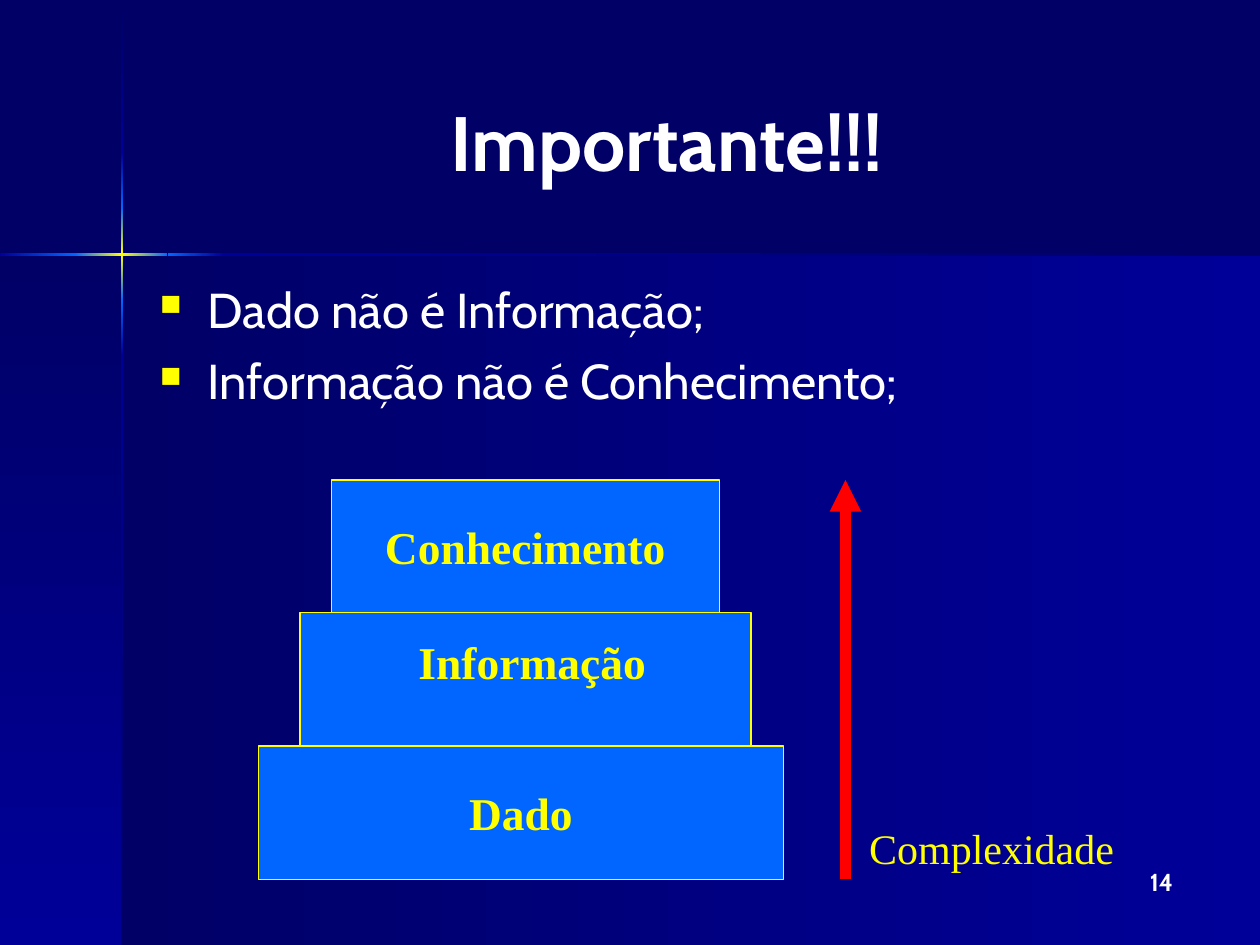
from copy import deepcopy
from dataclasses import dataclass

from lxml import etree
from pptx import Presentation
from pptx.dml.color import RGBColor
from pptx.enum.shapes import MSO_CONNECTOR, MSO_SHAPE
from pptx.enum.text import MSO_ANCHOR, PP_ALIGN
from pptx.oxml.ns import qn
from pptx.slide import Slide
from pptx.text.text import TextFrame
from pptx.util import Inches, Pt

NAVY = RGBColor(0x00, 0x00, 0x66)
ROYAL = RGBColor(0x00, 0x00, 0x99)
BLUE = RGBColor(0x00, 0x66, 0xFF)
YELLOW = RGBColor(0xFF, 0xFF, 0x00)
WHITE = RGBColor(0xFF, 0xFF, 0xFF)
RED = RGBColor(0xFF, 0x00, 0x00)

SANS = "Cabin"
SERIF = "Times New Roman"

RECTANGLE = MSO_SHAPE.RECTANGLE
STRAIGHT = MSO_CONNECTOR.STRAIGHT
LEFT, CENTER, RIGHT = PP_ALIGN.LEFT, PP_ALIGN.CENTER, PP_ALIGN.RIGHT
TOP, MIDDLE = MSO_ANCHOR.TOP, MSO_ANCHOR.MIDDLE

RIGHTWARD, DOWNWARD = 0, 270
RAY = 0.02


@dataclass
class Box:
    left: float
    top: float
    width: float
    height: float

    def lengths(self) -> list[int]:
        return [Inches(v) for v in (self.left, self.top, self.width, self.height)]


@dataclass
class Band:
    box: Box
    angle: int
    colors: tuple[RGBColor, ...]


@dataclass
class Tier:
    box: Box
    label: str = ""


@dataclass
class Style:
    font: str
    size: float
    color: RGBColor
    bold: bool = False
    align: PP_ALIGN = LEFT
    anchor: MSO_ANCHOR = TOP


def vertical_ray(top: float, height: float, *colors: RGBColor) -> Band:
    return Band(Box(0.96, top, RAY, height), DOWNWARD, colors)


def horizontal_ray(left: float, width: float, *colors: RGBColor) -> Band:
    return Band(Box(left, 2.01, width, RAY), RIGHTWARD, colors)


BANDS = [
    Band(Box(0.97, 2.02, 9.03, 5.48), RIGHTWARD, (NAVY, ROYAL)),
    Band(Box(0, 2.02, 0.97, 5.48), DOWNWARD, (NAVY, ROYAL)),
    vertical_ray(0.01, 1.2, NAVY, ROYAL),
    vertical_ray(2.82, 4.68, ROYAL, NAVY),
    horizontal_ray(1.77, 8.23, ROYAL, NAVY),
    vertical_ray(2.38, 0.44, BLUE, ROYAL),
    vertical_ray(1.21, 0.44, ROYAL, BLUE),
    vertical_ray(1.65, 0.73, BLUE, YELLOW, BLUE),
    horizontal_ray(0, 0.61, ROYAL, BLUE),
    horizontal_ray(1.33, 0.44, BLUE, ROYAL),
    horizontal_ray(0.6, 0.73, BLUE, YELLOW, BLUE),
]

TIERS = [
    Tier(Box(2.05, 5.92, 4.17, 1.06), "Dado"),
    Tier(Box(2.38, 4.86, 3.58, 1.06)),
    Tier(Box(2.63, 3.81, 3.08, 1.05), "Conhecimento"),
]

TITLE_STYLE = Style(SANS, 44, WHITE, True, CENTER, MIDDLE)
BODY_STYLE = Style(SANS, 28, WHITE)
NUMBER_STYLE = Style(SANS, 14, WHITE, True, RIGHT)
TIER_STYLE = Style(SERIF, 26, YELLOW, True, CENTER, MIDDLE)
TIER_LABEL_STYLE = Style(SERIF, 26, YELLOW, True, CENTER)
AXIS_STYLE = Style(SERIF, 24, YELLOW)


def write(frame: TextFrame, text: str, style: Style) -> None:
    frame.text = text
    frame.word_wrap = True
    frame.vertical_anchor = style.anchor
    for paragraph in frame.paragraphs:
        paragraph.alignment = style.align
        for run in paragraph.runs:
            run.font.name = style.font
            run.font.size = Pt(style.size)
            run.font.bold = style.bold
            run.font.color.rgb = style.color


def add_text(slide: Slide, box: Box, text: str, style: Style) -> TextFrame:
    frame = slide.shapes.add_textbox(*box.lengths()).text_frame
    write(frame, text, style)
    return frame


def add_band(slide: Slide, band: Band) -> None:
    shape = slide.shapes.add_shape(RECTANGLE, *band.box.lengths())
    shape.shadow.inherit = False
    shape.line.fill.background()
    shape.fill.gradient()
    shape.fill.gradient_angle = band.angle
    stop_list = shape._element.spPr.find(".//" + qn("a:gsLst"))
    for _ in band.colors[2:]:
        stop_list.append(deepcopy(stop_list[-1]))
    last = len(band.colors) - 1
    for index, (stop, color) in enumerate(zip(shape.fill.gradient_stops, band.colors)):
        stop.position = index / last
        stop.color.rgb = color


def add_tier(slide: Slide, tier: Tier) -> None:
    shape = slide.shapes.add_shape(RECTANGLE, *tier.box.lengths())
    shape.shadow.inherit = False
    shape.fill.solid()
    shape.fill.fore_color.rgb = BLUE
    shape.line.color.rgb = YELLOW
    shape.line.width = Pt(0.75)
    if tier.label:
        write(shape.text_frame, tier.label, TIER_STYLE)


def add_square_bullets(frame: TextFrame) -> None:
    for paragraph in frame.paragraphs:
        paragraph.space_before = Pt(7)
        properties = paragraph._p.get_or_add_pPr()
        properties.set("marL", str(Inches(0.38)))
        properties.set("indent", str(-Inches(0.38)))
        bullet_color = etree.SubElement(properties, qn("a:buClr"))
        etree.SubElement(bullet_color, qn("a:srgbClr"), val=str(YELLOW))
        etree.SubElement(properties, qn("a:buSzPct"), val="60000")
        etree.SubElement(properties, qn("a:buChar"), char="■")


def add_complexity_arrow(slide: Slide) -> None:
    x = Inches(6.71)
    arrow = slide.shapes.add_connector(STRAIGHT, x, Inches(6.98), x, Inches(3.81))
    arrow.line.color.rgb = RED
    arrow.line.width = Pt(6)
    etree.SubElement(arrow.line._get_or_add_ln(), qn("a:tailEnd"), type="triangle")
    etree.SubElement(arrow._element.spPr, qn("a:effectLst"))


def main() -> None:
    presentation = Presentation()
    presentation.slide_width = Inches(10)
    presentation.slide_height = Inches(7.5)
    slide = presentation.slides.add_slide(presentation.slide_layouts[5])
    slide.background.fill.solid()
    slide.background.fill.fore_color.rgb = NAVY

    for band in BANDS:
        add_band(slide, band)

    title = slide.shapes.title
    title.left, title.top, title.width, title.height = Box(1.17, 0.33, 8.25, 1.57).lengths()
    write(title.text_frame, "Importante!!!", TITLE_STYLE)

    statements = "Dado não é Informação;\nInformação não é Conhecimento;"
    add_square_bullets(add_text(slide, Box(1.17, 2.17, 8.25, 2.18), statements, BODY_STYLE))
    add_text(slide, Box(7.33, 6.83, 2.08, 0.5), "14", NUMBER_STYLE)

    for tier in TIERS:
        add_tier(slide, tier)
    add_text(slide, Box(3.12, 4.98, 2.21, 0.54), "Informação", TIER_LABEL_STYLE)

    add_complexity_arrow(slide)
    add_text(slide, Box(6.8, 6.48, 2.3, 0.5), "Complexidade", AXIS_STYLE)
    presentation.save("out.pptx")


if __name__ == "__main__":
    main()
